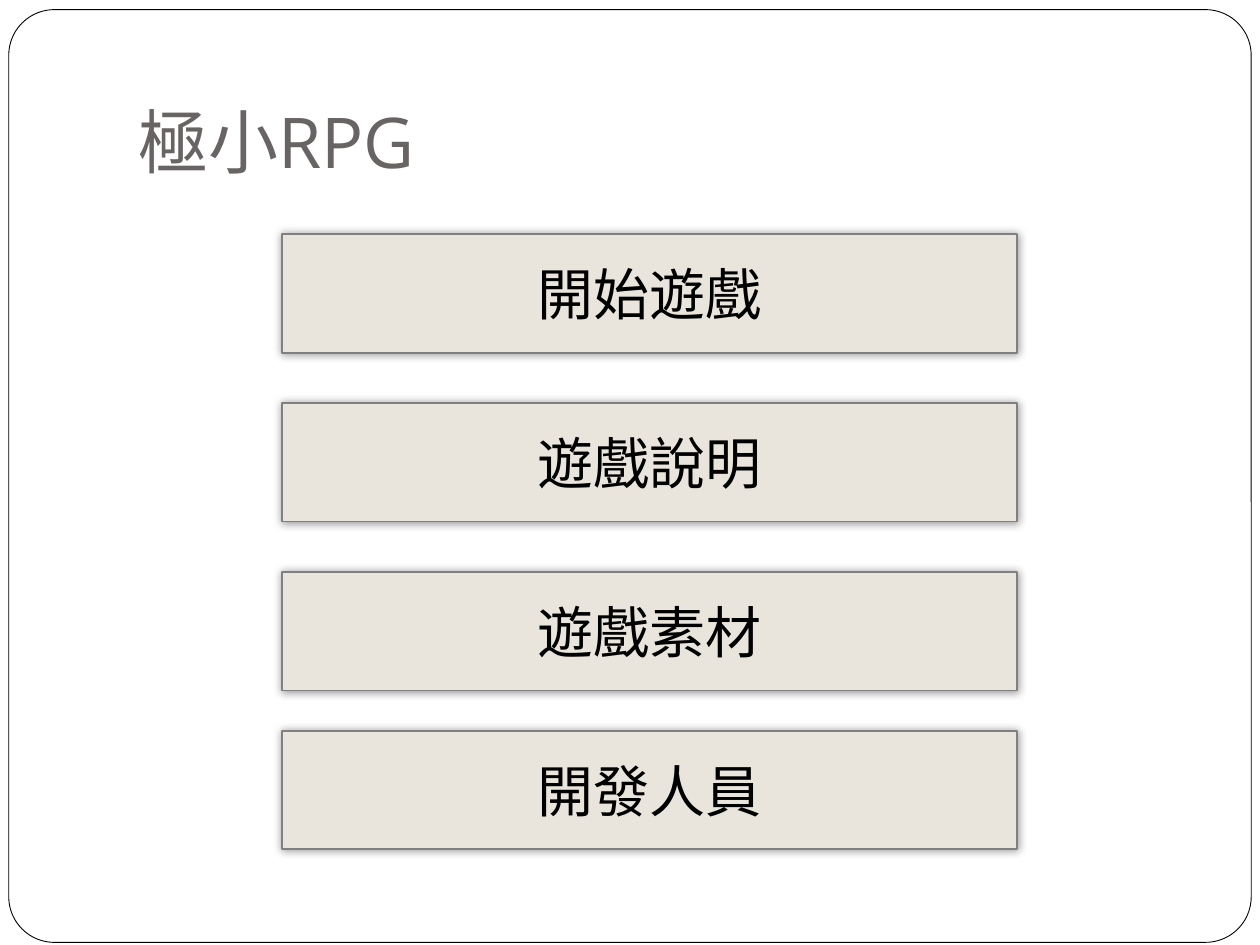
"""Build the start menu slide of a tiny role-playing game."""
from lxml import etree
from pptx import Presentation
from pptx.dml.color import RGBColor
from pptx.enum.shapes import MSO_SHAPE
from pptx.enum.text import MSO_ANCHOR, PP_ALIGN
from pptx.oxml import parse_xml
from pptx.oxml.ns import nsdecls, qn
from pptx.util import Pt

ROUNDED, BUTTON = MSO_SHAPE.ROUNDED_RECTANGLE, MSO_SHAPE.ACTION_BUTTON_CUSTOM
BOTTOM, MIDDLE = MSO_ANCHOR.BOTTOM, MSO_ANCHOR.MIDDLE
LEFT, CENTER = PP_ALIGN.LEFT, PP_ALIGN.CENTER

WHITE = RGBColor(0xFF, 0xFF, 0xFF)
BLACK = RGBColor(0x00, 0x00, 0x00)
TITLE_GRAY = RGBColor(0x69, 0x64, 0x64)
BUTTON_BEIGE = RGBColor(0xE9, 0xE5, 0xDC)
BUTTON_EDGE = RGBColor(0x80, 0x80, 0x80)

TITLE = "極小RPG"
MENU = [("開始遊戲", 133.9), ("遊戲說明", 230.4), ("遊戲素材", 326.9), ("開發人員", 417.6)]
BUTTON_LEFT, BUTTON_WIDTH, BUTTON_HEIGHT = 161.3, 419.8, 67.7

SHADOW = (
    f'<a:effectLst {nsdecls("a")}><a:outerShdw blurRad="{Pt(5)}" dist="0" dir="0" '
    'rotWithShape="0"><a:srgbClr val="000000"><a:alpha val="40000"/></a:srgbClr>'
    '</a:outerShdw></a:effectLst>'
)


def write_text(shape, text, *, font, size, color, align, anchor):
    frame = shape.text_frame
    frame.word_wrap = True
    frame.vertical_anchor = anchor
    paragraph = frame.paragraphs[0]
    paragraph.alignment = align
    run = paragraph.add_run()
    run.text = text
    run.font.name = font
    run.font.size = Pt(size)
    run.font.color.rgb = color
    east_asian = etree.SubElement(run.font._element, qn("a:ea"))
    east_asian.set("typeface", font)


def add_panel(slide, kind, bounds, fill, line, line_width):
    shape = slide.shapes.add_shape(kind, *map(Pt, bounds))
    shape.shadow.inherit = False
    shape.fill.solid()
    shape.fill.fore_color.rgb = fill
    shape.line.color.rgb = line
    shape.line.width = Pt(line_width)
    return shape


def add_button(slide, label, top):
    bounds = (BUTTON_LEFT, top, BUTTON_WIDTH, BUTTON_HEIGHT)
    button = add_panel(slide, BUTTON, bounds, BUTTON_BEIGE, BUTTON_EDGE, 1)
    properties = button._element.spPr
    properties.replace(properties.find(qn("a:effectLst")), parse_xml(SHADOW))
    write_text(button, label, font="Vollkorn", size=32, color=BLACK,
               align=CENTER, anchor=MIDDLE)


presentation = Presentation()
presentation.slide_width, presentation.slide_height = Pt(720), Pt(540)
slide = presentation.slides.add_slide(presentation.slide_layouts[6])

frame_panel = add_panel(slide, ROUNDED, (5, 5.5, 710, 533), WHITE, BLACK, 0.5)
frame_panel.adjustments[0] = 0.049

title_box = slide.shapes.add_textbox(Pt(72), Pt(21.6), Pt(612), Pt(90))
title_box.text_frame.margin_bottom = Pt(7.2)
write_text(title_box, TITLE, font="Open Sans", size=40, color=TITLE_GRAY,
           align=LEFT, anchor=BOTTOM)

for label, top in MENU:
    add_button(slide, label, top)

presentation.save("out.pptx")
